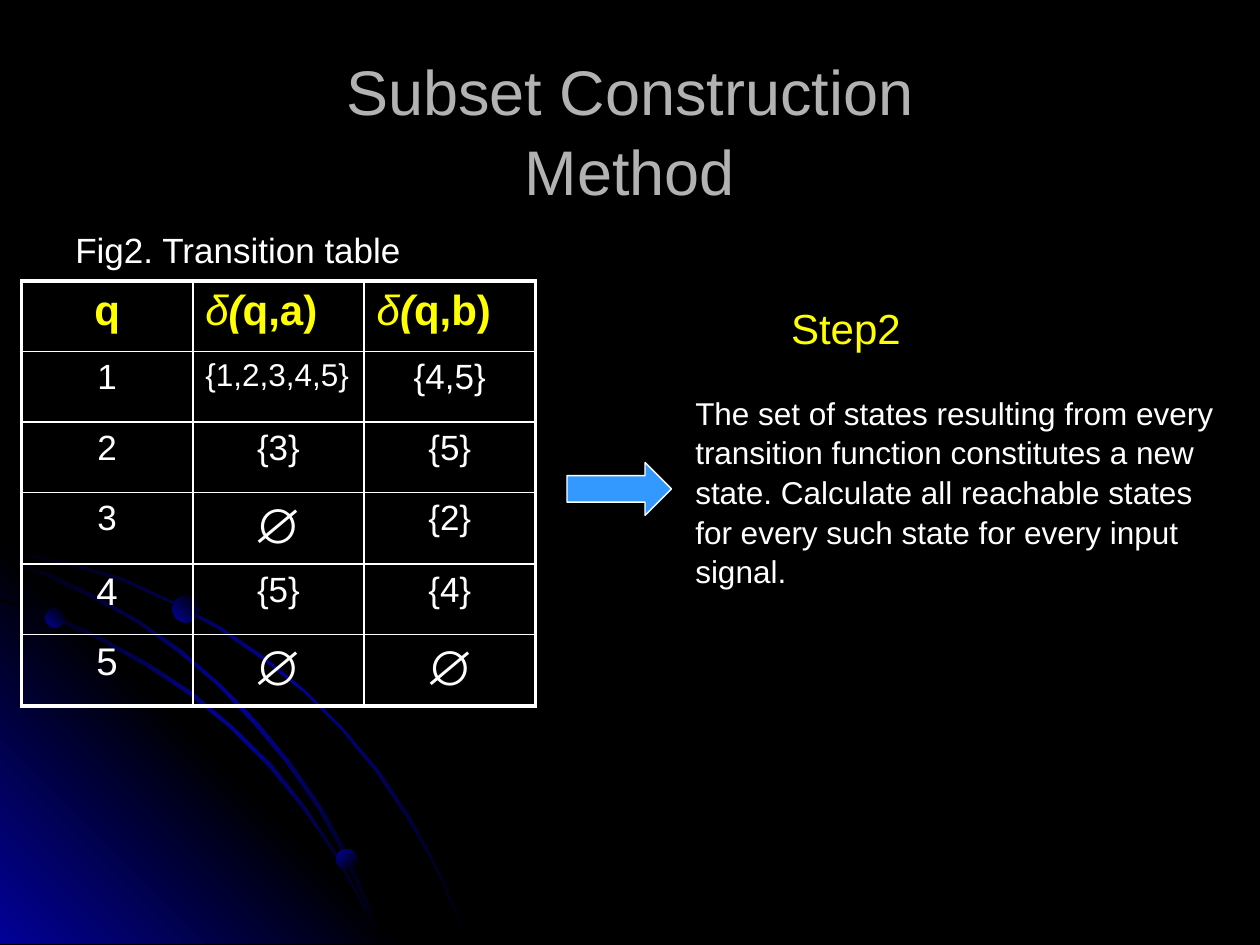
"""Build the slide on the second step of the subset construction method."""
import pptx
import pptx.dml.color
import pptx.enum.shapes
import pptx.enum.text
import pptx.oxml
import pptx.oxml.ns
import pptx.util

GRID = pptx.util.Inches(0.1)
COLUMNS, ROWS = 100, 75
FONT = "Arial"
BLACK = pptx.dml.color.RGBColor(0x00, 0x00, 0x00)
NAVY = pptx.dml.color.RGBColor(0x01, 0x01, 0x99)
WHITE = pptx.dml.color.RGBColor(0xFF, 0xFF, 0xFF)
YELLOW = pptx.dml.color.RGBColor(0xFF, 0xFF, 0x00)
SILVER = pptx.dml.color.RGBColor(0xB2, 0xB2, 0xB2)
SKY = pptx.dml.color.RGBColor(0x33, 0x99, 0xFF)
CENTER = pptx.enum.text.PP_ALIGN.CENTER
LEFT = pptx.enum.text.PP_ALIGN.LEFT
SHAPES = pptx.enum.shapes.MSO_SHAPE

CORNER = [(322, 749), (0, 749), (0, 427)]
OUTER_ARC = [
    (0, 435), (28, 441), (57, 447), (98, 459), (136, 477), (174, 497), (209, 521),
    (242, 548), (272, 578), (300, 611), (325, 648), (339, 673), (352, 698), (362, 723),
    (372, 749), (370, 749), (360, 723), (350, 698), (337, 673), (323, 649), (298, 612),
    (271, 579), (241, 549), (208, 523), (173, 499), (135, 478), (97, 461), (56, 449),
    (28, 443), (0, 438),
]
INNER_ARC = [
    (0, 475), (41, 488), (79, 505), (117, 526), (152, 549), (184, 576), (215, 606),
    (242, 640), (266, 676), (286, 712), (296, 730), (303, 749), (301, 749), (294, 732),
    (285, 714), (265, 677), (240, 641), (213, 608), (183, 578), (150, 551), (115, 528),
    (77, 507), (39, 490), (0, 477),
]
MIDDLE_ARC = [
    (0, 442), (39, 455), (76, 473), (111, 493), (144, 516), (175, 543), (204, 573),
    (229, 603), (254, 639), (269, 665), (282, 693), (294, 720), (303, 749), (301, 749),
    (292, 722), (280, 694), (267, 667), (252, 641), (227, 605), (202, 575), (173, 544),
    (142, 518), (109, 494), (74, 475), (36, 457), (0, 444),
]
DOTS = [(3.6, 48.3, 1.5, 315), (26.7, 67.4, 1.6, 45), (13.7, 47.3, 2.1, 315)]

TRANSITIONS = [
    [("1", 20), ("{1,2,3,4,5}", 18), ("{4,5}", 20)],
    [("2", 20), ("{3}", 20), ("{5}", 20)],
    [("3", 20), ("∅", 28), ("{2}", 20)],
    [("4", 22), ("{5}", 20), ("{4}", 20)],
    [("5", 22), ("∅", 28), ("∅", 28)],
]


def place(*cells):
    """Turn grid cells into slide lengths."""
    return [round(cell * GRID) for cell in cells]


def add_run(paragraph, text, size, color, bold=False, italic=False):
    """Add one formatted run to a paragraph."""
    run = paragraph.add_run()
    run.text = text
    run.font.name = FONT
    run.font.size = pptx.util.Pt(size)
    run.font.color.rgb = color
    run.font.bold = bold
    run.font.italic = italic


def add_text(slide, box, text, size, color, alignment=LEFT):
    """Add a wrapped text box."""
    frame = slide.shapes.add_textbox(*place(*box)).text_frame
    frame.word_wrap = True
    paragraph = frame.paragraphs[0]
    paragraph.alignment = alignment
    paragraph.line_spacing = 1.05
    add_run(paragraph, text, size, color)


def fill_gradient(shape, colors, angle):
    """Fill a borderless shape with evenly spaced colour stops."""
    shape.shadow.inherit = False
    shape.line.fill.background()
    shape.fill.background()
    stops = "".join(
        f'<a:gs pos="{100000 * index // (len(colors) - 1)}"><a:srgbClr val="{color}"/></a:gs>'
        for index, color in enumerate(colors)
    )
    gradient = pptx.oxml.parse_xml(
        f'<a:gradFill {pptx.oxml.ns.nsdecls("a")} rotWithShape="1"><a:gsLst>{stops}</a:gsLst>'
        f'<a:lin ang="{angle * 60000}" scaled="1"/></a:gradFill>'
    )
    properties = shape.element.spPr
    properties.replace(properties.find(pptx.oxml.ns.qn("a:noFill")), gradient)


def add_outline(slide, points, colors, angle):
    """Add a closed outline whose points are in tenths of a grid cell."""
    builder = slide.shapes.build_freeform(*points[0], scale=GRID / 10)
    builder.add_line_segments(points[1:], close=True)
    fill_gradient(builder.convert_to_shape(), colors, angle)


def add_backdrop(slide):
    """Draw the glowing corner with its arcs and dots."""
    glow = [BLACK, NAVY, BLACK]
    add_outline(slide, OUTER_ARC, glow, 45)
    add_outline(slide, CORNER, [NAVY, BLACK, NAVY], 315)
    add_outline(slide, INNER_ARC, glow, 45)
    add_outline(slide, MIDDLE_ARC, glow, 45)
    for left, top, size, angle in DOTS:
        dot = slide.shapes.add_shape(SHAPES.OVAL, *place(left, top, size, size))
        fill_gradient(dot, [NAVY, BLACK], angle)


def set_borders(cell, outer_sides):
    """Rule a cell in white, thicker on the table's outer sides."""
    properties = cell._tc.get_or_add_tcPr()
    for side in "LRTB":
        width = pptx.util.Pt(2.25 if side in outer_sides else 1)
        properties.append(pptx.oxml.parse_xml(
            f'<a:ln{side} {pptx.oxml.ns.nsdecls("a")} w="{width}"><a:solidFill>'
            f'<a:srgbClr val="{WHITE}"/></a:solidFill></a:ln{side}>'
        ))
    cell.fill.background()


def add_transition_table(slide):
    """Add the table of transitions for each state and input."""
    rows, columns = len(TRANSITIONS) + 1, len(TRANSITIONS[0])
    frame = slide.shapes.add_table(rows, columns, *place(1.7, 22.3, 13.6 * columns, 5.6 * rows))
    table = frame.table
    table.first_row = table.horz_banding = False
    for row in range(rows):
        for column in range(columns):
            cell = table.cell(row, column)
            edges = {"L": column == 0, "R": column == columns - 1, "T": row == 0, "B": row == rows - 1}
            set_borders(cell, [side for side, outer in edges.items() if outer])
            paragraph = cell.text_frame.paragraphs[0]
            if row:
                text, size = TRANSITIONS[row - 1][column]
                paragraph.alignment = LEFT if size == 18 else CENTER
                add_run(paragraph, text, size, WHITE)
            elif column:
                add_run(paragraph, "δ", 24, YELLOW, italic=True)
                add_run(paragraph, "(", 24, YELLOW, bold=True, italic=True)
                add_run(paragraph, f"q,{'ab'[column - 1]})", 24, YELLOW, bold=True)
            else:
                paragraph.alignment = CENTER
                add_run(paragraph, "q", 24, YELLOW, bold=True)


def add_arrow(slide):
    """Add the block arrow from the table to the step."""
    arrow = slide.shapes.add_shape(SHAPES.RIGHT_ARROW, *place(45, 36.7, 8.3, 4.2))
    arrow.shadow.inherit = False
    arrow.fill.solid()
    arrow.fill.fore_color.rgb = SKY
    arrow.line.color.rgb = WHITE
    arrow.line.width = pptx.util.Pt(0.75)


def main():
    """Compose and save the slide."""
    presentation = pptx.Presentation()
    presentation.slide_width, presentation.slide_height = place(COLUMNS, ROWS)
    slide = presentation.slides.add_slide(presentation.slide_layouts[6])
    slide.background.fill.solid()
    slide.background.fill.fore_color.rgb = BLACK
    add_backdrop(slide)
    add_text(slide, (5, 17.5, 90, 4.5), "Fig2. Transition table", 20, WHITE)
    add_transition_table(slide)
    add_arrow(slide)
    add_text(slide, (18, 3.4, 64, 7), "Subset Construction Method", 36, SILVER, CENTER)
    add_text(slide, (61.8, 23.3, 10.7, 5), "Step2", 24, YELLOW)
    add_text(
        slide, (54.2, 30.6, 43.3, 16),
        "The set of states resulting from every transition function constitutes a new state. "
        "Calculate all reachable states for every such state for every input signal.",
        18, WHITE,
    )
    presentation.save("out.pptx")


if __name__ == "__main__":
    main()
